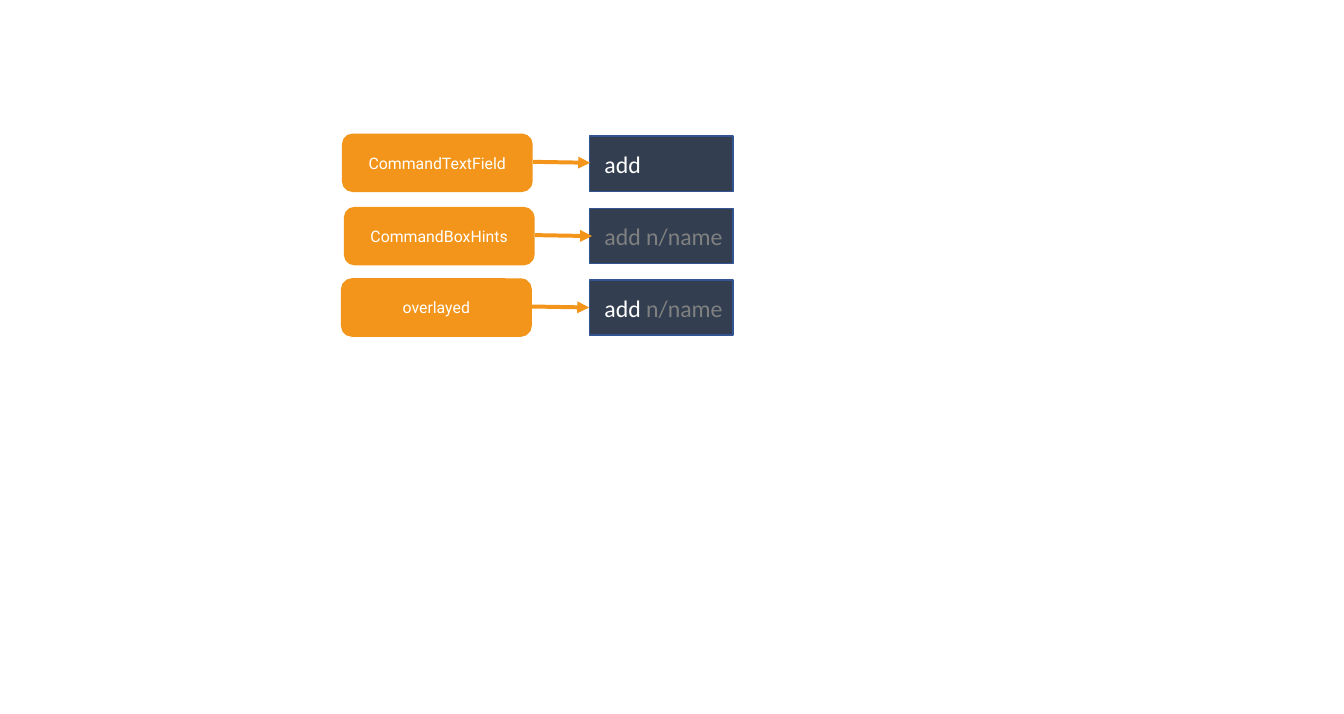
from lxml import etree
from pptx import Presentation
from pptx.dml.color import RGBColor
from pptx.enum.shapes import MSO_CONNECTOR, MSO_SHAPE
from pptx.enum.text import MSO_ANCHOR, PP_ALIGN
from pptx.oxml.ns import qn
from pptx.util import Emu, Pt

RECTANGLE, ROUNDED = MSO_SHAPE.RECTANGLE, MSO_SHAPE.ROUNDED_RECTANGLE
STRAIGHT = MSO_CONNECTOR.STRAIGHT
MIDDLE = MSO_ANCHOR.MIDDLE
LEFT, CENTER = PP_ALIGN.LEFT, PP_ALIGN.CENTER

THEME = {
    "orange": RGBColor.from_string("F2951A"),
    "navy": RGBColor.from_string("333F50"),
    "border": RGBColor.from_string("325491"),
    "white": RGBColor.from_string("FFFFFF"),
    "hint": RGBColor.from_string("808080"),
    "label_font": "Roboto",
    "label_size": Pt(12),
    "field_font": "Calibri",
    "field_size": Pt(18),
}


def px(count):
    """Convert px, at 100 to the inch, into EMU."""
    return Emu(count * 9144)


def add_box(kind, left, top, width, fill, border, border_width, align, font, size, runs):
    box = page.shapes.add_shape(kind, px(left), px(top), px(width), px(BOX_HEIGHT))
    box.shadow.inherit = False
    box.fill.solid()
    box.fill.fore_color.rgb = THEME[fill]
    box.line.color.rgb = THEME[border]
    box.line.width = Pt(border_width)
    box.text_frame.vertical_anchor = MIDDLE
    para = box.text_frame.paragraphs[0]
    para.alignment = align
    para.font.name = THEME[font]
    para.font.size = THEME[size]
    for text, color in runs:
        span = para.add_run()
        span.text = text
        span.font.color.rgb = THEME[color]
    return box


# Deck
deck = Presentation()
deck.slide_width, deck.slide_height = px(1412), px(750)
page = deck.slides.add_slide(deck.slide_layouts[6])

# Rows: label, label left, label top, field top, field text
BOX_HEIGHT = 58
LABEL_WIDTH = 197
FIELD_LEFT, FIELD_WIDTH = 619, 151
ROWS = [
    ("CommandTextField", 361, 142, 143, [("add", "white")]),
    ("CommandBoxHints", 363, 219, 219, [("add n/name", "hint")]),
    ("overlayed", 360, 294, 294, [("add ", "white"), ("n/name", "hint")]),
]

for label, label_left, label_top, field_top, field_runs in ROWS:
    # Command field
    field = add_box(RECTANGLE, FIELD_LEFT, field_top, FIELD_WIDTH, "navy", "border", 1,
                    LEFT, "field_font", "field_size", field_runs)
    field.text_frame.margin_left = px(16)
    field.text_frame.margin_right = 0

    # Component label
    add_box(ROUNDED, label_left, label_top, LABEL_WIDTH, "orange", "orange", 2.5,
            CENTER, "label_font", "label_size", [(label, "white")])

    # Arrow from label to field
    start, height = label_left + LABEL_WIDTH + 2, label_top + 28
    arrow = page.shapes.add_connector(STRAIGHT, px(start), px(height),
                                      px(start + 60), px(height + 1))
    arrow.line.color.rgb = THEME["orange"]
    arrow.line.width = Pt(3)
    etree.SubElement(arrow.line._get_or_add_ln(), qn("a:tailEnd"), type="triangle")
    etree.SubElement(arrow._element.spPr, qn("a:effectLst"))

deck.save("out.pptx")
